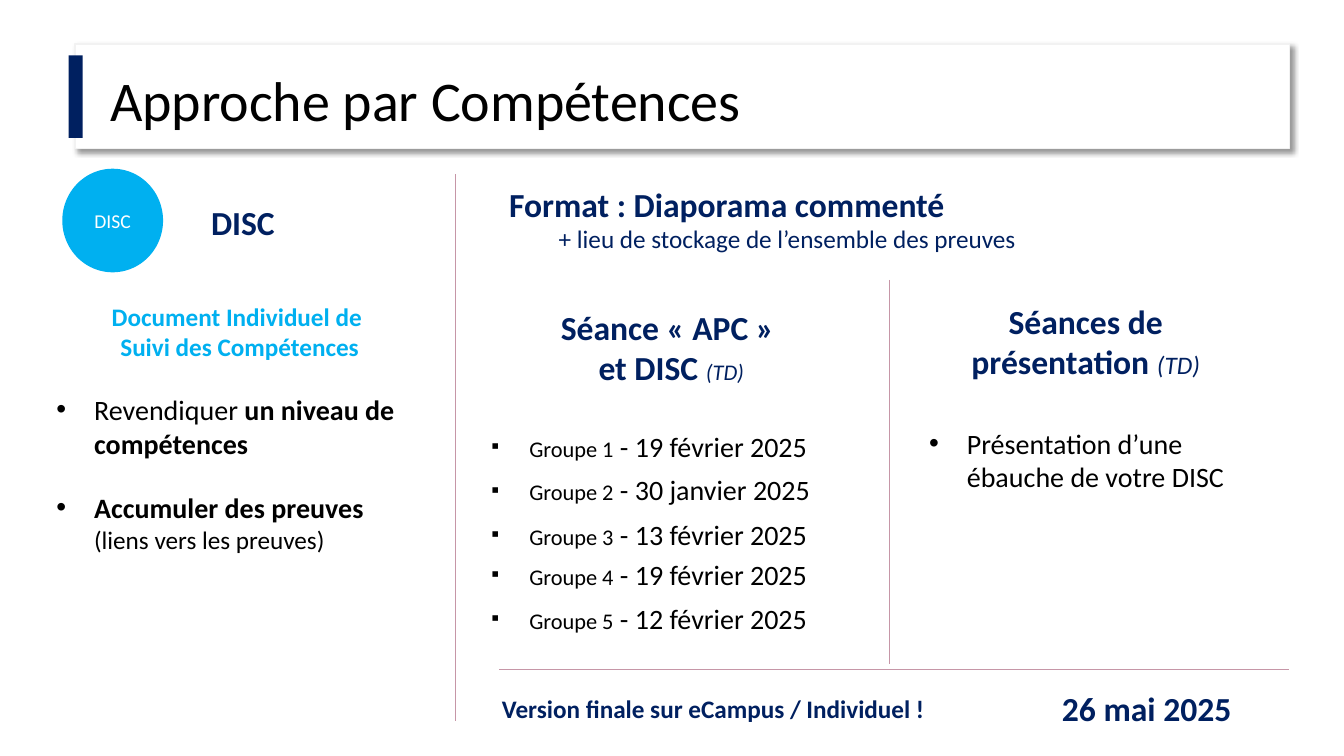
from lxml import etree
from pptx import Presentation, util as u
from pptx.dml.color import RGBColor
from pptx.enum import shapes, text
from pptx.oxml import parse_xml
from pptx.oxml.ns import nsdecls, qn

Pt = u.Pt
FONT = "Calibri"
NAVY = RGBColor(0x00, 0x20, 0x60)
SKY = RGBColor(0x00, 0xB0, 0xF0)
RULE = RGBColor(0xC6, 0x96, 0xA7)
BORDER = RGBColor(0xF2, 0xF2, 0xF2)
BLACK = RGBColor(0, 0, 0)
WHITE = RGBColor(255, 255, 255)
CENTER = text.PP_ALIGN.CENTER
LEFT = text.PP_ALIGN.LEFT
BULLET_INDENT = 27

GROUP_ROWS = [
    (303, "Groupe 1", "19 février 2025"),
    (334, "Groupe 2", "30 janvier 2025"),
    (366, "Groupe 3", "13 février 2025"),
    (394.5, "Groupe 4", "19 février 2025"),
    (426, "Groupe 5", "12 février 2025"),
]


def write(para, words, size=20, color=BLACK, bold=False, italic=False):
    """Add formatted words to a paragraph; a newline becomes a line break."""
    for index, line in enumerate(words.split("\n")):
        if index:
            para.add_line_break()
        span = para.add_run()
        span.text = line
        font = span.font
        font.name, font.size, font.bold, font.italic = FONT, Pt(size), bold, italic
        font.color.rgb = color


def format_paragraph(para, align=LEFT, bullet=None, indent=0, before=0):
    props = para._p.get_or_add_pPr()
    props.set("marL", str(Pt(BULLET_INDENT if bullet else indent)))
    props.set("indent", str(Pt(-BULLET_INDENT if bullet else 0)))
    if bullet:
        etree.SubElement(props, qn("a:buFont"), typeface="Arial")
        etree.SubElement(props, qn("a:buChar"), char=bullet)
    else:
        etree.SubElement(props, qn("a:buNone"))
    para.alignment = align
    para.space_before = Pt(before)
    return para


def place(box, left, top, width, height):
    box.left, box.top, box.width, box.height = map(Pt, (left, top, width, height))


def add_text(page, left, top, width, height):
    """Add a wrapping text box and return its frame."""
    frame = page.shapes.add_textbox(*map(Pt, (left, top, width, height))).text_frame
    frame.word_wrap = True
    frame.auto_size = text.MSO_AUTO_SIZE.SHAPE_TO_FIT_TEXT
    return frame


def add_heading(page, area, words, size=24, note="", note_size=16, align=CENTER):
    para = format_paragraph(add_text(page, *area).paragraphs[0], align)
    write(para, words, size, NAVY, bold=True)
    if note:
        write(para, note, note_size, NAVY, italic=True)


def add_block(page, kind, left, top, width, height, fill, border=None):
    block = page.shapes.add_shape(kind, *map(Pt, (left, top, width, height)))
    block.shadow.inherit = False
    block.fill.solid()
    block.fill.fore_color.rgb = fill
    if border is None:
        block.line.fill.background()
    else:
        block.line.color.rgb = border
        block.line.width = Pt(1)
    return block


def add_shadow(block):
    effects = block.element.spPr.find(qn("a:effectLst"))
    effects.append(parse_xml(
        f'<a:outerShdw {nsdecls("a")} blurRad="{Pt(4)}" dist="{Pt(3)}" dir="2700000" '
        'algn="tl" rotWithShape="0"><a:srgbClr val="000000"><a:alpha val="40000"/>'
        '</a:srgbClr></a:outerShdw>'))


def add_rule(page, x1, y1, x2, y2):
    rule = page.shapes.add_connector(shapes.MSO_CONNECTOR.STRAIGHT,
                                     *map(Pt, (x1, y1, x2, y2)))
    rule.line.color.rgb = RULE
    rule.line.width = Pt(0.5)
    etree.SubElement(rule._element.spPr, qn("a:effectLst"))


def add_title(page):
    banner = add_block(page, shapes.MSO_SHAPE.RECTANGLE, 53.5, 31.5, 867.5, 74.5,
                       WHITE, BORDER)
    add_shadow(banner)
    title = page.shapes.title
    banner.element.addnext(title.element)
    place(title, 71.5, 46, 706, 55.5)
    frame = title.text_frame
    frame.auto_size = text.MSO_AUTO_SIZE.NONE
    frame.vertical_anchor = text.MSO_ANCHOR.MIDDLE
    para = format_paragraph(frame.paragraphs[0])
    para.line_spacing = 0.9
    write(para, "Approche par Compétences", 40)
    add_block(page, shapes.MSO_SHAPE.RECTANGLE, 49, 39.5, 10, 59, NAVY)


def add_disc_column(page):
    add_heading(page, (60.5, 141, 226, 36), "DISC")
    badge = add_block(page, shapes.MSO_SHAPE.OVAL, 44.5, 120.5, 72, 74, SKY)
    badge.text_frame.vertical_anchor = text.MSO_ANCHOR.MIDDLE
    write(format_paragraph(badge.text_frame.paragraphs[0], CENTER), "DISC", 14, WHITE)

    body = page.placeholders[1]
    place(body, 33, 211.5, 276.5, 189.5)
    frame = body.text_frame
    frame.auto_size = text.MSO_AUTO_SIZE.NONE
    write(format_paragraph(frame.paragraphs[0], CENTER),
          "Document Individuel de \nSuivi des Compétences", 18, SKY, bold=True)
    claim = format_paragraph(frame.add_paragraph(), bullet="•", before=22)
    write(claim, "Revendiquer ")
    write(claim, "un niveau de compétences", bold=True)
    proof = format_paragraph(frame.add_paragraph(), bullet="•", before=22)
    write(proof, "Accumuler des preuves ", bold=True)
    write(proof, "(liens vers les preuves)", 18)


def add_format(page):
    frame = add_text(page, 356.5, 127.5, 511, 65.5)
    write(format_paragraph(frame.paragraphs[0]), "Format : Diaporama commenté",
          24, NAVY, bold=True)
    write(format_paragraph(frame.add_paragraph(), indent=35.5),
          "+ lieu de stockage de l’ensemble des preuves", 18, NAVY)


def add_sessions(page):
    add_heading(page, (366.5, 215.5, 226, 65.5), "Séance «\u00a0APC\u00a0» \net DISC ",
                note="(TD)")
    for top, group, date in GROUP_ROWS:
        frame = add_text(page, 344, top, 291, 31.5)
        para = format_paragraph(frame.paragraphs[0], bullet="▪")
        write(para, group, 16)
        write(para, f" - {date}")
    add_heading(page, (662.5, 211.5, 226, 65.5), "Séances de présentation ",
                note="(TD)", note_size=18)
    frame = add_text(page, 656.5, 301, 264, 55.5)
    write(format_paragraph(frame.paragraphs[0], bullet="•"),
          "Présentation d’une ébauche de votre DISC")


def add_deadline(page):
    add_heading(page, (351.5, 492, 374.5, 29), "Version finale sur eCampus / Individuel !",
                size=18, align=LEFT)
    add_heading(page, (751.5, 488, 183, 36), "26 mai 2025", align=LEFT)


def main():
    deck = Presentation()
    deck.slide_width, deck.slide_height = Pt(960), Pt(540)
    page = deck.slides.add_slide(deck.slide_layouts[1])
    add_title(page)
    add_disc_column(page)
    add_format(page)
    add_sessions(page)
    add_deadline(page)
    add_rule(page, 325.5, 124.5, 325.5, 515)
    add_rule(page, 635, 200, 635, 474)
    add_rule(page, 356.5, 478, 921, 478)
    deck.save("out.pptx")


if __name__ == "__main__":
    main()
